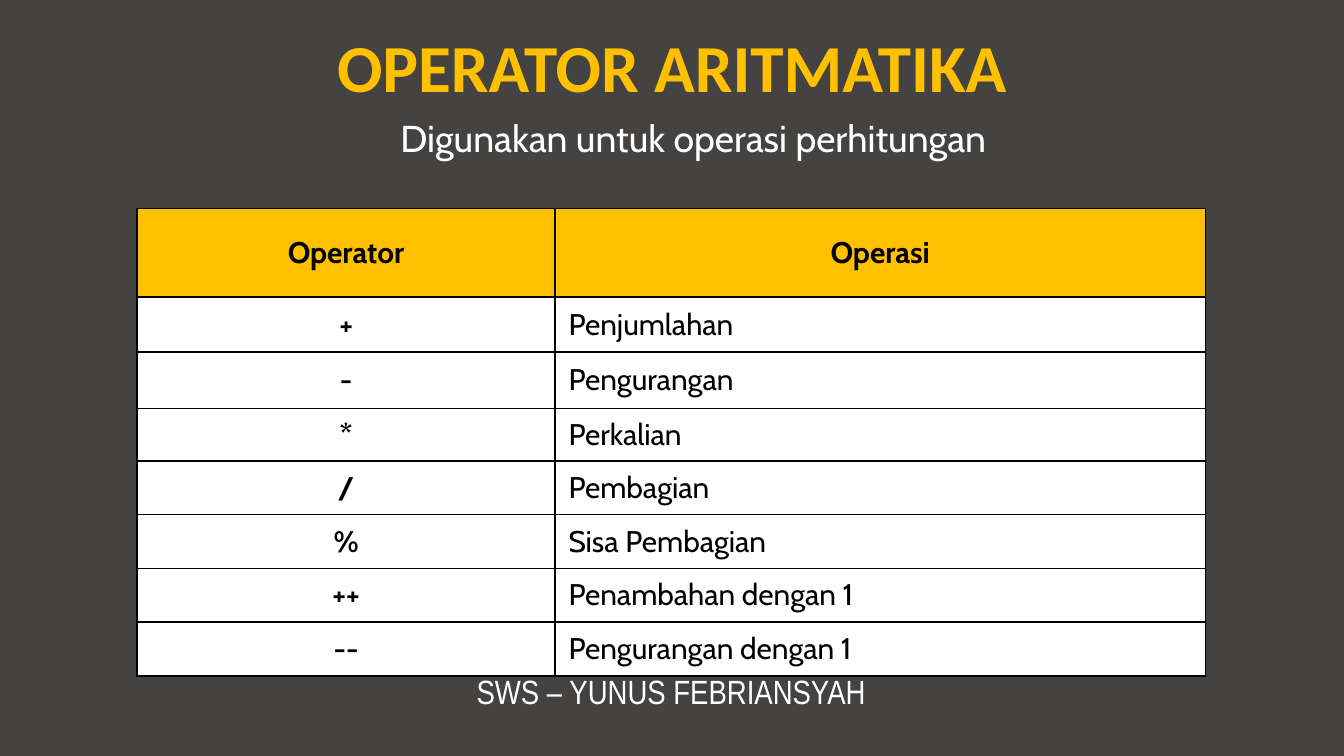
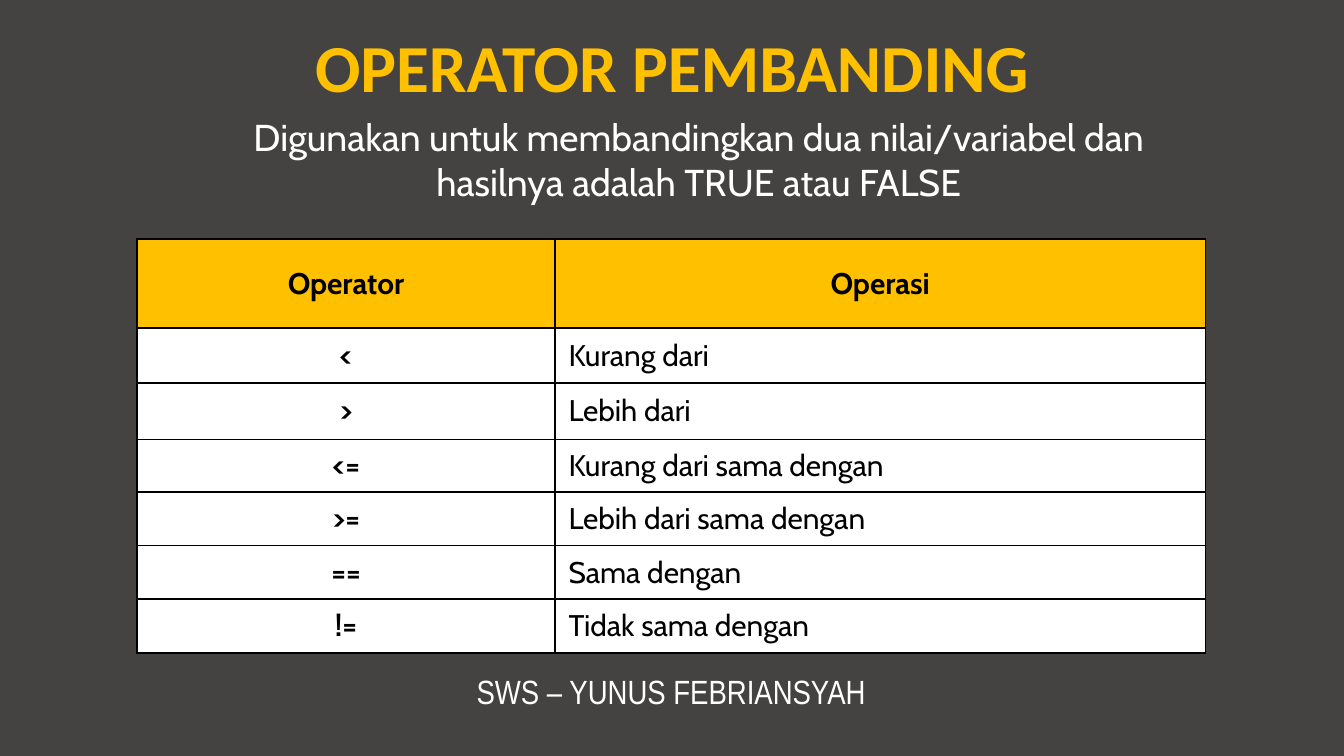
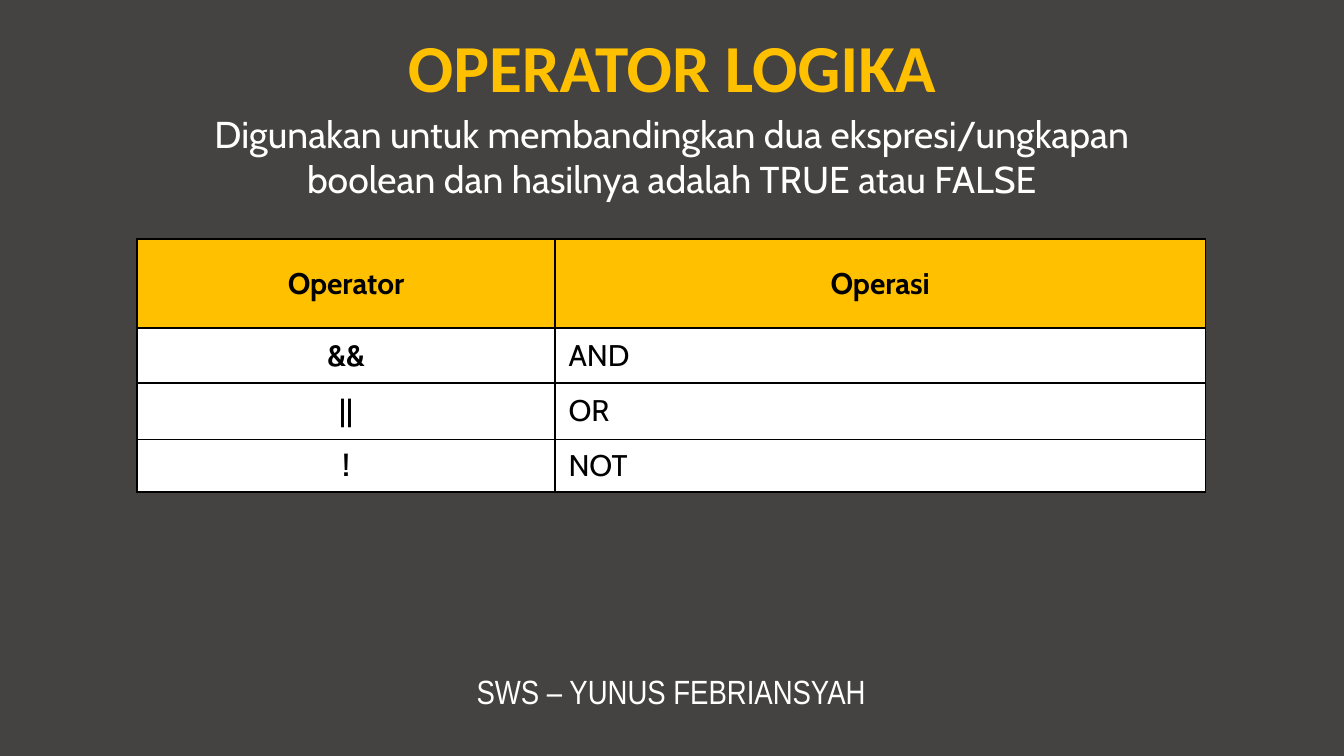
from dataclasses import dataclass

import pptx
import pptx.dml.color
import pptx.enum.text
import pptx.util
from lxml import etree
from pptx.oxml.ns import qn

# Slide grid: 100 columns by 56.25 rows of square cells
COLS, ROWS = 100, 56.25
CELL = pptx.util.Inches(10) / COLS

BACKGROUND, GOLD, WHITE, BLACK = "444342", "FFC000", "FFFFFF", "000000"
CENTER = pptx.enum.text.PP_ALIGN.CENTER
LEFT = pptx.enum.text.PP_ALIGN.LEFT
MIDDLE = pptx.enum.text.MSO_ANCHOR.MIDDLE
AUTO_SIZE = pptx.enum.text.MSO_AUTO_SIZE

# Text formats
TITLE = {"name": "Calibri", "size": 36, "bold": True, "color": GOLD}
SUBTITLE = {"name": "Cabin", "size": 20, "bold": False, "color": WHITE}
FOOTER = {"name": "Arial Narrow", "size": 18, "bold": False, "color": WHITE}
STRONG = {"name": "Cabin", "size": 16, "bold": True, "color": BLACK}
PLAIN = {**STRONG, "bold": False}

# Table grid, in cells
TABLE_LEFT = 10.2
COLUMN_WIDTHS = (31.1, 48.4)
FIRST_ROWS = (6.6, 4.1, 4.2, 3.9)
OTHER_ROW = 4


@dataclass
class Box:
    left: float
    top: float
    width: float
    height: float

    def emu(self) -> list[int]:
        return [cells(v) for v in (self.left, self.top, self.width, self.height)]


@dataclass
class OperatorSlide:
    title: str
    subtitle: str
    subtitle_box: Box
    table_top: float
    operators: dict[str, str]


TITLE_BOX = Box(0, 1.7, COLS, 6.3)
FOOTER_BOX = Box(28.7, 49.4, 42.5, 4)

SLIDES = [
    OperatorSlide(
        "OPERATOR ARITMATIKA",
        "Digunakan untuk operasi perhitungan",
        Box(13.8, 8.1, 75.6, 4.4), 15.5,
        {"+": "Penjumlahan", "-": "Pengurangan", "*": "Perkalian",
         "/": "Pembagian", "%": "Sisa Pembagian",
         "++": "Penambahan dengan 1", "--": "Pengurangan dengan 1"}),
    OperatorSlide(
        "OPERATOR PEMBANDING",
        "Digunakan untuk membandingkan dua nilai/variabel dan "
        "hasilnya adalah TRUE atau FALSE",
        Box(15.4, 8, 73.2, 7.7), 17.8,
        {"<": "Kurang dari", ">": "Lebih dari",
         "<=": "Kurang dari sama dengan", ">=": "Lebih dari sama dengan",
         "==": "Sama dengan", "!=": "Tidak sama dengan"}),
    OperatorSlide(
        "OPERATOR LOGIKA",
        "Digunakan untuk membandingkan dua ekspresi/ungkapan "
        "boolean dan hasilnya adalah TRUE atau FALSE",
        Box(12.8, 7.8, 74.4, 7.7), 17.8,
        {"&&": "AND", "||": "OR", "!": "NOT"}),
]


def cells(n: float) -> int:
    return round(n * CELL)


def paint(target, color: str) -> None:
    """Give a fill a solid colour."""
    target.solid()
    target.fore_color.rgb = pptx.dml.color.RGBColor.from_string(color)


def write(tf, text: str, fmt: dict, align=CENTER) -> None:
    p = tf.paragraphs[0]
    p.alignment = align
    r = p.add_run()
    r.text = text
    values = {**fmt, "size": pptx.util.Pt(fmt["size"])}
    paint(r.font.fill, values.pop("color"))
    for name, value in values.items():
        setattr(r.font, name, value)


def add_title(s, text: str) -> None:
    sp = s.shapes.title
    sp.left, sp.top, sp.width, sp.height = TITLE_BOX.emu()
    tf = sp.text_frame
    tf.auto_size = AUTO_SIZE.NONE
    tf.vertical_anchor = MIDDLE
    write(tf, text, TITLE)


def add_text(s, text: str, box: Box, fmt: dict) -> None:
    tf = s.shapes.add_textbox(*box.emu()).text_frame
    tf.word_wrap = True
    tf.auto_size = AUTO_SIZE.SHAPE_TO_FIT_TEXT
    write(tf, text, fmt)


def add_borders(cell) -> None:
    tc_pr = cell._tc.get_or_add_tcPr()
    for side in ("lnL", "lnR", "lnT", "lnB"):
        ln = etree.SubElement(tc_pr, qn(f"a:{side}"), w=str(pptx.util.Pt(1)))
        fill = etree.SubElement(ln, qn("a:solidFill"))
        etree.SubElement(fill, qn("a:srgbClr"), val=BLACK)


def add_operator_table(s, top: float, operators: dict[str, str]) -> None:
    rows = [("Operator", "Operasi"), *operators.items()]
    heights = [*FIRST_ROWS, *[OTHER_ROW] * (len(rows) - len(FIRST_ROWS))]
    box = Box(TABLE_LEFT, top, sum(COLUMN_WIDTHS), sum(heights))
    table = s.shapes.add_table(len(rows), len(COLUMN_WIDTHS), *box.emu()).table
    table.horz_banding = False
    for column, width in zip(table.columns, COLUMN_WIDTHS):
        column.width = cells(width)
    for i, (texts, height) in enumerate(zip(rows, heights)):
        table.rows[i].height = cells(height)
        for j, text in enumerate(texts):
            cell = table.cell(i, j)
            add_borders(cell)
            paint(cell.fill, WHITE if i else GOLD)
            cell.vertical_anchor = MIDDLE
            described = i > 0 and j == 1
            write(cell.text_frame, text, PLAIN if described else STRONG,
                  LEFT if described else CENTER)


def main() -> None:
    prs = pptx.Presentation()
    prs.slide_width, prs.slide_height = cells(COLS), cells(ROWS)
    paint(prs.slide_master.background.fill, BACKGROUND)
    title_only = prs.slide_layouts.get_by_name("Title Only")
    for content in SLIDES:
        s = prs.slides.add_slide(title_only)
        add_title(s, content.title)
        add_text(s, content.subtitle, content.subtitle_box, SUBTITLE)
        add_text(s, "SWS – YUNUS FEBRIANSYAH", FOOTER_BOX, FOOTER)
        add_operator_table(s, content.table_top, content.operators)
    prs.save("out.pptx")


if __name__ == "__main__":
    main()
